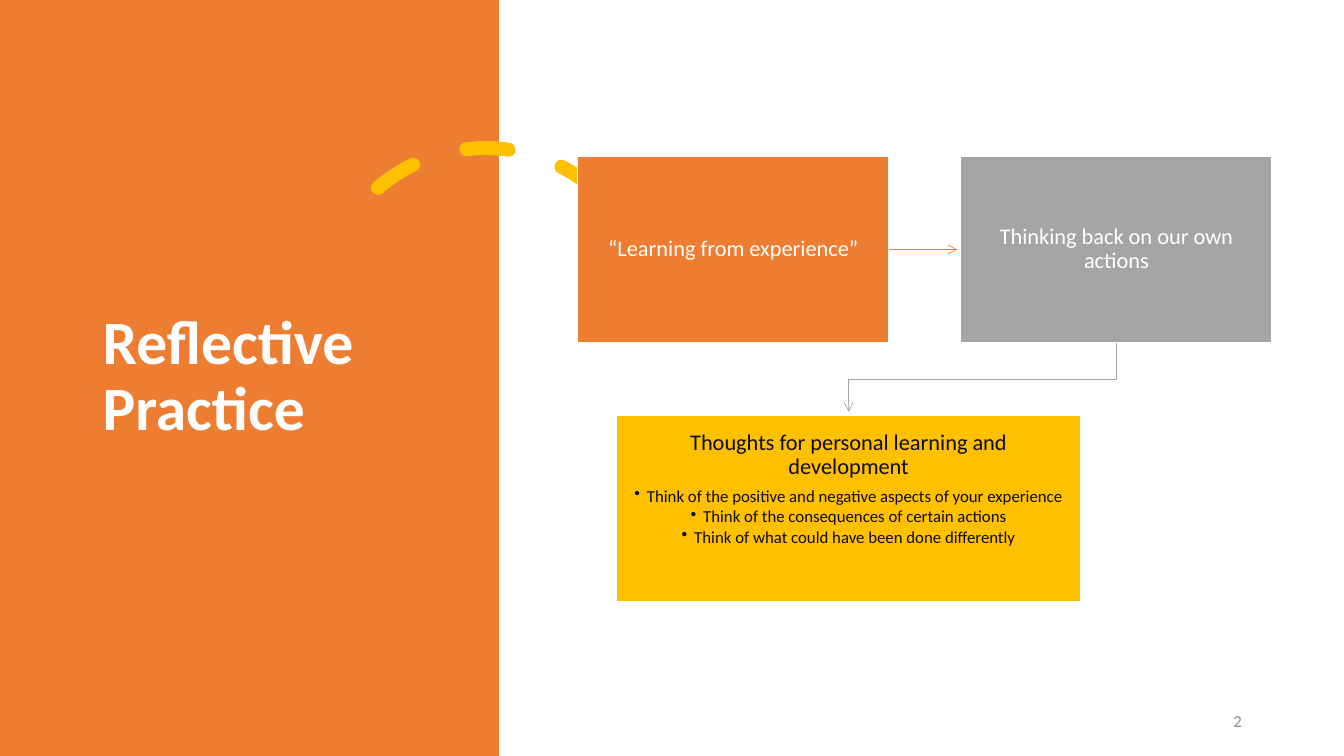
from lxml.etree import SubElement
from pptx import Presentation
from pptx.dml.color import RGBColor
from pptx.enum.dml import MSO_LINE
from pptx.enum.shapes import MSO_CONNECTOR, MSO_SHAPE as SHAPE
from pptx.enum.text import MSO_ANCHOR as ANCHOR, PP_ALIGN as ALIGN
from pptx.oxml.ns import qn
from pptx.util import Pt

FONT = "Calibri"
ORANGE, GREY, GOLD = "ED7D31", "A5A5A5", "FFC000"
WHITE, INK = "FFFFFF", "0D0D0D"
BOX_W, BOX_H, TOP = 222.5, 133.2, 111.6
EXPERIENCE_X, ACTIONS_X = 412.6, 686.2
THOUGHTS_X, THOUGHTS_Y, THOUGHTS_W = 440.6, 296.6, 331.2
ARROW_GAP = 2.5


def rgb(color):
    return RGBColor.from_string(color)


def style_paragraph(p, size, color, align=ALIGN.LEFT, bold=False, after=0, spacing=0.9):
    p.alignment, p.line_spacing, p.space_after = align, spacing, Pt(after)
    for r in p.runs:
        r.font.name, r.font.size, r.font.bold = FONT, Pt(size), bold
        r.font.color.rgb = rgb(color)


def add_label(s, text, x, y, w, h, size, color, **style):
    tf = s.shapes.add_textbox(Pt(x), Pt(y), Pt(w), Pt(h)).text_frame
    tf.word_wrap = True
    tf.vertical_anchor = ANCHOR.MIDDLE
    tf.text = text
    style_paragraph(tf.paragraphs[0], size, color, **style)


def add_box(s, x, y, w, h, fill, line=None):
    sp = s.shapes.add_shape(SHAPE.RECTANGLE, Pt(x), Pt(y), Pt(w), Pt(h))
    sp.shadow.inherit = False
    sp.fill.solid()
    sp.fill.fore_color.rgb = rgb(fill)
    if line:
        sp.line.color.rgb = rgb(line)
        sp.line.width = Pt(1)
    else:
        sp.line.fill.background()
    return sp


def add_bullet(p):
    pPr = p._p.get_or_add_pPr()
    pPr.set("marL", str(Pt(9)))
    pPr.set("indent", str(-Pt(9)))
    SubElement(pPr, qn("a:buChar"), char="•")


def add_step(s, x, y, w, fill, color, heading, bullets=()):
    sp = add_box(s, x, y, w, BOX_H, fill, WHITE)
    tf = sp.text_frame
    tf.word_wrap = True
    tf.vertical_anchor = ANCHOR.TOP if bullets else ANCHOR.MIDDLE
    tf.margin_left = tf.margin_right = Pt(10.8)
    tf.margin_top = tf.margin_bottom = Pt(11.5)
    tf.text = heading
    style_paragraph(tf.paragraphs[0], 16, color, ALIGN.CENTER, after=5.6)
    for bullet in bullets:
        p = tf.add_paragraph()
        p.text, p.level = bullet, 1
        style_paragraph(p, 12, color, ALIGN.CENTER, after=1.8)
        add_bullet(p)
    return sp


def style_arrow(sp, color):
    sp.line.color.rgb = rgb(color)
    sp.line.width = Pt(0.5)
    SubElement(sp.line._get_or_add_ln(), qn("a:tailEnd"), type="arrow")


def add_straight_arrow(s, box, x_end, color):
    y = box.top + box.height // 2
    arrow = s.shapes.add_connector(
        MSO_CONNECTOR.STRAIGHT, box.left + box.width, y, Pt(x_end), y)
    arrow.begin_connect(box, 3)
    style_arrow(arrow, color)
    SubElement(arrow._element.spPr, qn("a:effectLst"))


def add_bent_arrow(s, x1, y1, x2, y2, color):
    """Run down from the start, across halfway, and down to the end."""
    y_mid = (y1 + y2) / 2
    builder = s.shapes.build_freeform(Pt(x1), Pt(y1))
    corners = [(x1, y_mid), (x2, y_mid), (x2, y2 - ARROW_GAP)]
    builder.add_line_segments([(Pt(x), Pt(y)) for x, y in corners], close=False)
    sp = builder.convert_to_shape()
    sp.shadow.inherit = False
    sp.fill.background()
    style_arrow(sp, color)


def add_dashed_arc(s, x, y, size, start, rotation, color):
    sp = s.shapes.add_shape(SHAPE.ARC, Pt(x), Pt(y), Pt(size), Pt(size))
    sp.shadow.inherit = False
    # Arc angles are in 60000ths of a degree, adjustments in 100000ths.
    sp.adjustments[0], sp.adjustments[1] = start * 0.6, 0
    sp.rotation = rotation
    sp.fill.background()
    sp.line.color.rgb = rgb(color)
    sp.line.width = Pt(10)
    sp.line.dash_style = MSO_LINE.DASH
    sp.line._get_or_add_ln().set("cap", "rnd")


def main():
    prs = Presentation()
    prs.slide_width, prs.slide_height = Pt(960), Pt(540)
    s = prs.slides.add_slide(prs.slide_layouts[6])

    add_box(s, 0, 0, 356.4, 540, ORANGE)
    add_dashed_arc(s, 229, 105.8, 235.4, 243.55, 345.8, GOLD)
    add_label(s, "Reflective Practice", 66.2, 50.4, 232.6, 438.5, 44, WHITE, bold=True)
    add_label(s, "2", 761, 500.4, 133.2, 28.8, 12, "8C8C8C",
              align=ALIGN.RIGHT, after=6, spacing=1.0)

    experience = add_step(s, EXPERIENCE_X, TOP, BOX_W, ORANGE, WHITE,
                          "“Learning from experience”")
    add_step(s, ACTIONS_X, TOP, BOX_W, GREY, WHITE, "Thinking back on our own actions")
    add_step(s, THOUGHTS_X, THOUGHTS_Y, THOUGHTS_W, GOLD, INK,
             "Thoughts for personal learning and development",
             ["Think of the positive and negative aspects of your experience",
              "Think of the consequences of certain actions",
              "Think of what could have been done differently"])
    add_straight_arrow(s, experience, ACTIONS_X - ARROW_GAP, ORANGE)
    add_bent_arrow(s, ACTIONS_X + BOX_W / 2, TOP + BOX_H,
                   THOUGHTS_X + THOUGHTS_W / 2, THOUGHTS_Y, GREY)
    prs.save("out.pptx")


if __name__ == "__main__":
    main()
